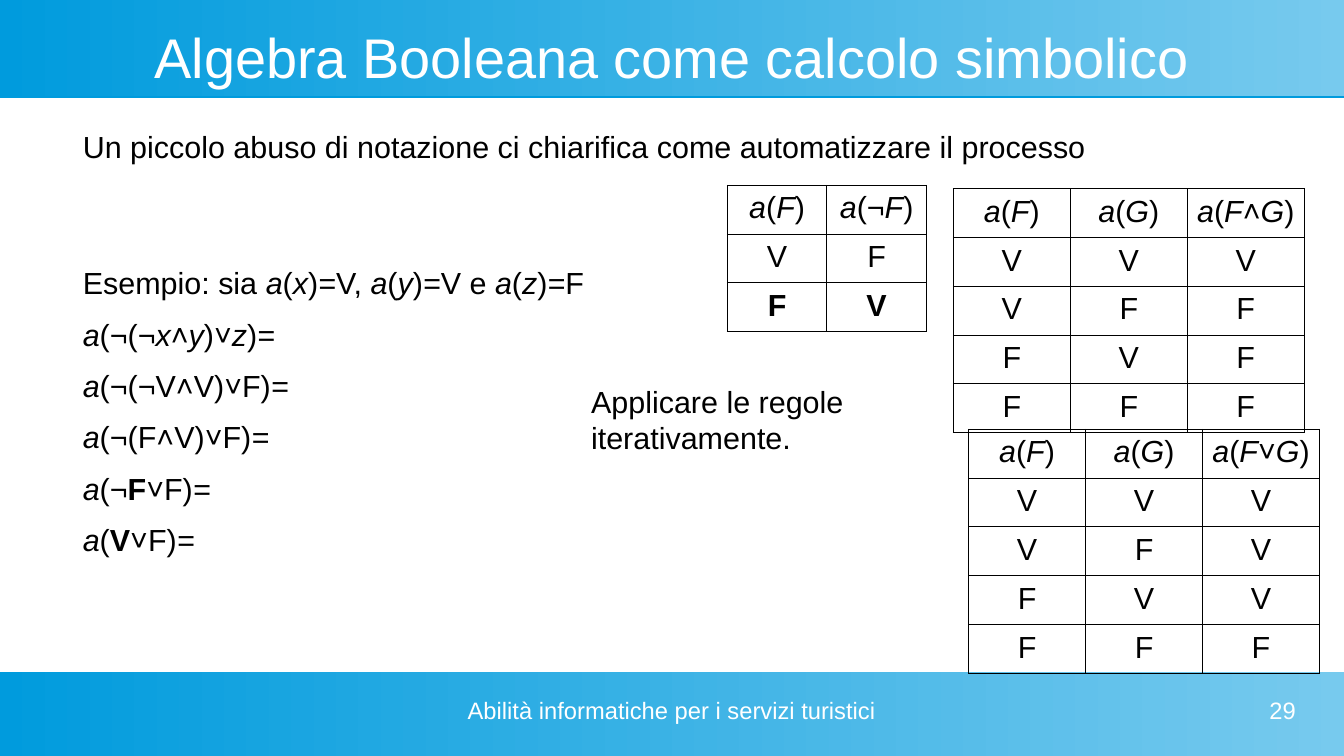
from itertools import product

from lxml import etree
from pptx import Presentation
from pptx.dml.color import RGBColor
from pptx.enum.shapes import MSO_SHAPE
from pptx.enum.text import MSO_ANCHOR, PP_ALIGN
from pptx.oxml.ns import qn
from pptx.util import Pt

RECT = MSO_SHAPE.RECTANGLE
MIDDLE = MSO_ANCHOR.MIDDLE
LEFT, CENTER, RIGHT = PP_ALIGN.LEFT, PP_ALIGN.CENTER, PP_ALIGN.RIGHT
WIDTH, HEIGHT = 793.7, 446.5


def color(code):
    """Turn a hex string into a colour."""
    return RGBColor.from_string(code)


class Deck:
    """Hold the style and the current slide."""

    face = "Arial"
    dark, light = "000000", "FFFFFF"
    deep, pale = "009BDD", "77CAEE"
    size, gap, row, edge = 18, 8.7, 28.8, 0.57

    def __init__(self):
        """Start a deck with one title-only slide."""
        self.deck = Presentation()
        self.deck.slide_width, self.deck.slide_height = Pt(WIDTH), Pt(HEIGHT)
        self.slide = self.deck.slides.add_slide(self.deck.slide_layouts[5])
        self.shapes = self.slide.shapes

    def label(self, para, text, size, tint, align):
        """Fill a paragraph; *x* is italic and _x_ is bold."""
        para.alignment = align
        font = para.font
        font.name, font.size = self.face, Pt(size)
        font.color.rgb = color(tint)
        for i, chunk in enumerate(text.split("*")):
            for j, part in enumerate(chunk.split("_")):
                if part:
                    run = para.add_run()
                    run.text = part
                    if i % 2:
                        run.font.italic = True
                    if j % 2:
                        run.font.bold = True

    def inset(self, frame, side, top):
        """Set the margins of a text frame or cell."""
        frame.margin_left = frame.margin_right = Pt(side)
        frame.margin_top = frame.margin_bottom = Pt(top)

    def band(self, top, height):
        """Draw a full-width gradient band with a thin shadow below."""
        band = self.shapes.add_shape(RECT, 0, Pt(top), Pt(WIDTH), Pt(height))
        band.line.fill.background()
        band.fill.gradient()
        band.fill.gradient_angle = 0
        for stop, tint in zip(band.fill.gradient_stops, (self.deep, self.pale)):
            stop.color.rgb = color(tint)
        band.shadow.inherit = False
        effects = band.element.spPr.find(qn("a:effectLst"))
        shade = etree.SubElement(effects, qn("a:outerShdw"), blurRad="0",
                                 dist=str(Pt(0.9)), dir="5400000")
        etree.SubElement(shade, qn("a:srgbClr"), val=self.deep)

    def title(self, text, left, top, width, height):
        """Place the title above the bands."""
        title = self.shapes.title
        self.shapes.element.append(title.element)
        title.left, title.top = Pt(left), Pt(top)
        title.width, title.height = Pt(width), Pt(height)
        frame = title.text_frame
        frame.vertical_anchor = MIDDLE
        self.inset(frame, 0, 0)
        self.label(frame.paragraphs[0], text, 33, self.light, CENTER)

    def text(self, lines, left, top, width, height):
        """Add a body text box with one paragraph per line."""
        frame = self.box(left, top, width, height)
        self.inset(frame, 7.2, 3.6)
        for i, line in enumerate(lines):
            para = frame.add_paragraph() if i else frame.paragraphs[0]
            if i:
                para.space_before = Pt(self.gap)
            self.label(para, line, self.size, self.dark, LEFT)

    def foot(self, text, left, width, align):
        """Add a line of text on the lower band."""
        frame = self.box(left, 411.1, width, 28.1)
        self.inset(frame, 0, 0)
        self.label(frame.paragraphs[0], text, 14, self.light, align)

    def box(self, left, top, width, height):
        """Add a wrapping text box and return its frame."""
        box = self.shapes.add_textbox(Pt(left), Pt(top), Pt(width), Pt(height))
        box.text_frame.word_wrap = True
        return box.text_frame

    def table(self, rows, left, top, width):
        """Add a ruled table with equal columns."""
        count = len(rows[0])
        table = self.shapes.add_table(
            len(rows), count, Pt(left), Pt(top),
            Pt(width * count), Pt(self.row * len(rows))).table
        table.first_row = table.horz_banding = False
        for col in table.columns:
            col.width = Pt(width)
        for i, row in enumerate(rows):
            table.rows[i].height = Pt(self.row)
            for j, text in enumerate(row):
                cell = table.cell(i, j)
                self.inset(cell, 2.9, 3.6)
                self.rule(cell)
                cell.fill.background()
                self.label(cell.text_frame.paragraphs[0], text,
                           self.size, self.dark, CENTER)

    def rule(self, cell):
        """Draw the four borders of a cell."""
        props = cell._tc.get_or_add_tcPr()
        for side in "LRTB":
            line = etree.SubElement(props, qn("a:ln" + side),
                                    w=str(Pt(self.edge)))
            fill = etree.SubElement(line, qn("a:solidFill"))
            etree.SubElement(fill, qn("a:srgbClr"), val=self.dark)


def truth(sign, test):
    """List the rows of a two-place truth table."""
    head = ("*a*(*F*)", "*a*(*G*)", f"*a*(*F{sign}G*)")
    return [head] + [(f, g, "V" if test(v == "V" for v in (f, g)) else "F")
                     for f, g in product("VF", repeat=2)]


def main():
    """Build the slide."""
    deck = Deck()
    deck.band(0, 56.9)
    deck.band(396.8, 49.7)
    deck.title("Algebra Booleana come calcolo simbolico", 28, 14.4, 737.3, 37.4)
    deck.text(["Un piccolo abuso di notazione ci chiarifica "
               "come automatizzare il processo"], 41.8, 72, 666, 54)
    deck.table([("*a*(*F*)", "*a*(¬*F*)"), ("V", "F"), ("_F_", "_V_")],
               429.5, 109.4, 58.8)
    deck.table(truth("˄", all), 563, 111.4, 69.1)
    deck.table(truth("˅", any), 572, 253.5, 69.1)
    deck.text(["Esempio: sia *a*(*x*)*=*V, *a*(*y*)*=*V e *a*(*z*)*=*F",
               "*a*(¬(¬*x˄y*)*˅z*)*=*",
               "*a*(¬(¬V*˄*V)*˅*F)*=*",
               "*a*(¬(F*˄*V)*˅*F)*=*",
               "*a*(¬_F_*˅*F)*=*",
               "*a*(_V_*˅*F)*=*"], 41.8, 152.6, 342, 171.4)
    deck.text(["Applicare le regole iterativamente."], 342, 222.5, 216, 47.5)
    deck.foot("Abilità informatiche per i servizi turistici", 269.3, 254.9, CENTER)
    deck.foot("29", 581, 184.3, RIGHT)
    deck.deck.save("out.pptx")


if __name__ == "__main__":
    main()
